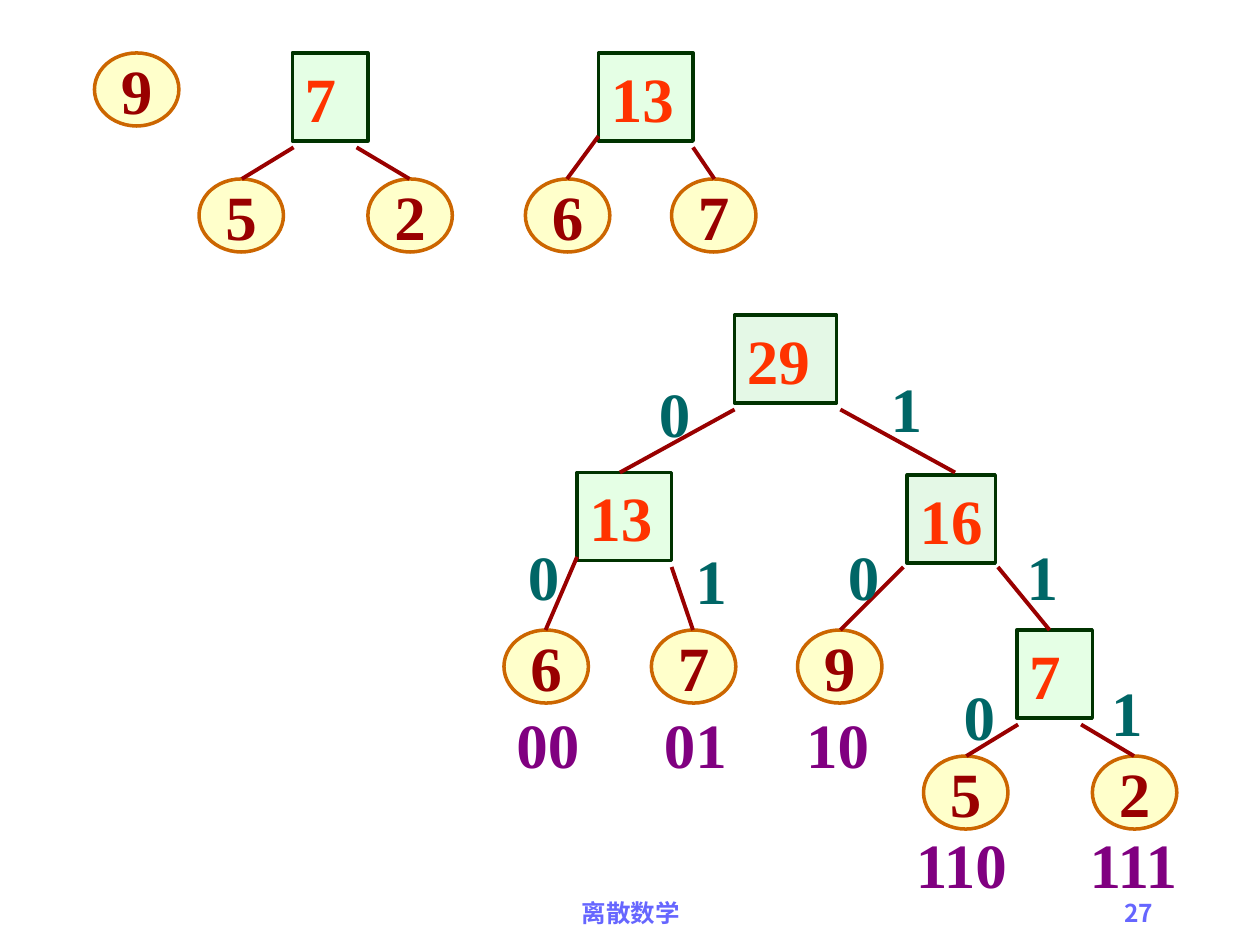
from dataclasses import dataclass

from lxml.etree import SubElement
from pptx import Presentation
from pptx.dml.color import RGBColor
from pptx.enum.shapes import MSO_CONNECTOR as Connector, MSO_SHAPE as Preset
from pptx.enum.text import MSO_ANCHOR as Anchor, MSO_AUTO_SIZE as AutoSize, PP_ALIGN as Align
from pptx.oxml.ns import qn
from pptx.shapes.base import BaseShape
from pptx.slide import Slide
from pptx.util import Inches, Pt


@dataclass(frozen=True)
class Theme:
    font: str = "Times New Roman"
    number_font: str = "Noto Sans CJK SC"
    leaf_fill: str = "FFFF99"
    leaf_line: str = "CC6600"
    dark_red: str = "990000"
    sum_fill: str = "CCFFCC"
    merged_fill: str = "CAF2CE"
    sum_line: str = "003300"
    sum_text: str = "FF3300"
    bit: str = "006666"
    code: str = "800080"
    footer: str = "6666FF"
    tree_size: int = 36
    footer_size: int = 14
    outline: float = 2
    edge: float = 2.25


@dataclass(frozen=True)
class Leaf:
    text: str
    left: float
    top: float


@dataclass(frozen=True)
class Sum:
    text: str
    left: float
    top: float
    width: float
    fill: str
    wrap: bool = True


@dataclass(frozen=True)
class Edge:
    x1: float
    y1: float
    x2: float
    y2: float


@dataclass(frozen=True)
class Label:
    text: str
    left: float
    top: float
    width: float
    color: str


@dataclass(frozen=True)
class Footer:
    text: str
    left: float
    width: float
    align: Align
    font: str


THEME = Theme()
LEAF_WIDTH, LEAF_HEIGHT, BOX_HEIGHT = 0.67, 0.58, 0.7
BIT_WIDTH = 0.45

LEAVES = [
    Leaf("9", 0.75, 0.42), Leaf("6", 4.17, 1.42), Leaf("7", 5.33, 1.42),
    Leaf("6", 4, 5), Leaf("7", 5.17, 5), Leaf("9", 6.33, 5),
]
SUMS = [
    Sum("13", 4.75, 0.42, 0.75, THEME.sum_fill),
    Sum("13", 4.58, 3.75, 0.75, THEME.sum_fill),
    Sum("16", 7.2, 3.77, 0.7, THEME.merged_fill, wrap=False),
    Sum("29", 5.83, 2.5, 0.81, THEME.merged_fill),
]
EDGES = [
    Edge(4.75, 1.08, 4.5, 1.42), Edge(5.5, 1.17, 5.67, 1.42),
    Edge(7.17, 4.5, 6.67, 5), Edge(7.92, 4.5, 8.33, 5),
    Edge(4.58, 4.42, 4.33, 5), Edge(5.33, 4.5, 5.5, 5),
    Edge(5.83, 3.25, 4.92, 3.75), Edge(6.67, 3.25, 7.58, 3.75),
]
BITS = [
    ("0", 5.13, 2.92), ("0", 4.09, 4.22), ("0", 6.63, 4.22), ("0", 7.55, 5.33),
    ("1", 6.97, 2.88), ("1", 5.42, 4.25), ("1", 8.05, 4.22), ("1", 8.72, 5.3),
]
CODES = [
    ("00", 4, 5.55, 0.7), ("01", 5.17, 5.55, 0.7), ("10", 6.3, 5.55, 0.7),
    ("110", 7.17, 6.5, 0.95), ("111", 8.55, 6.5, 0.95),
]
LABELS = [Label(text, left, top, BIT_WIDTH, THEME.bit) for text, left, top in BITS]
LABELS += [Label(*code, THEME.code) for code in CODES]
FOOTERS = [
    Footer("离散数学", 3.42, 3.17, Align.CENTER, THEME.font),
    Footer("27", 7.17, 2.08, Align.RIGHT, THEME.number_font),
]


def write(box: BaseShape, text: str, color: str, size: int = THEME.tree_size,
          font: str = THEME.font, align: Align = Align.LEFT, wrap: bool = False) -> None:
    """Put one bold run of text in a box."""
    box.text_frame.word_wrap = wrap
    para = box.text_frame.paragraphs[0]
    para.alignment = align
    span = para.add_run()
    span.text = text
    span.font.name = font
    span.font.size = Pt(size)
    span.font.bold = True
    span.font.color.rgb = RGBColor.from_string(color)


def draw_shape(page: Slide, preset: Preset, left: float, top: float, width: float,
               height: float, fill: str, line: str) -> BaseShape:
    """Add an outlined shape with a half-transparent fill."""
    shape = page.shapes.add_shape(preset, Inches(left), Inches(top), Inches(width), Inches(height))
    shape.shadow.inherit = False
    shape.fill.solid()
    shape.fill.fore_color.rgb = RGBColor.from_string(fill)
    tint = next(shape.fill._xPr.iter(qn("a:srgbClr")))
    SubElement(tint, qn("a:alpha"), val="50000")
    shape.line.color.rgb = RGBColor.from_string(line)
    shape.line.width = Pt(THEME.outline)
    return shape


def draw_leaf(page: Slide, leaf: Leaf) -> None:
    """Draw a leaf as an ellipse holding its weight."""
    shape = draw_shape(page, Preset.OVAL, leaf.left, leaf.top, LEAF_WIDTH, LEAF_HEIGHT,
                       THEME.leaf_fill, THEME.leaf_line)
    shape.text_frame.vertical_anchor = Anchor.MIDDLE
    write(shape, leaf.text, THEME.dark_red, align=Align.CENTER)


def draw_sum(page: Slide, node: Sum) -> None:
    """Draw an inner node as a box holding the sum of its children."""
    shape = draw_shape(page, Preset.RECTANGLE, node.left, node.top, node.width, BOX_HEIGHT,
                       node.fill, THEME.sum_line)
    shape.text_frame.vertical_anchor = Anchor.TOP
    shape.text_frame.auto_size = AutoSize.SHAPE_TO_FIT_TEXT
    write(shape, node.text, THEME.sum_text, wrap=node.wrap)


def draw_edge(page: Slide, edge: Edge) -> None:
    """Draw a branch from a parent to a child."""
    line = page.shapes.add_connector(Connector.STRAIGHT, Inches(edge.x1), Inches(edge.y1),
                                     Inches(edge.x2), Inches(edge.y2))
    line.line.color.rgb = RGBColor.from_string(THEME.dark_red)
    line.line.width = Pt(THEME.edge)
    SubElement(line._element.spPr, qn("a:effectLst"))


def draw_label(page: Slide, label: Label) -> None:
    """Write a branch bit or a code word."""
    box = page.shapes.add_textbox(Inches(label.left), Inches(label.top),
                                  Inches(label.width), Inches(BOX_HEIGHT))
    box.text_frame.auto_size = AutoSize.SHAPE_TO_FIT_TEXT
    write(box, label.text, label.color)


def draw_footer(page: Slide, footer: Footer) -> None:
    """Write one footer entry."""
    box = page.shapes.add_textbox(Inches(footer.left), Inches(7.08), Inches(footer.width), Inches(0.5))
    write(box, footer.text, THEME.footer, THEME.footer_size, footer.font, footer.align, wrap=True)


def draw_seven(page: Slide, left: float, top: float) -> None:
    """Draw the tree that joins 5 and 2, from its top left corner."""
    draw_leaf(page, Leaf("5", left, top + 1))
    draw_leaf(page, Leaf("2", left + 1.34, top + 1))
    draw_edge(page, Edge(left + 0.75, top + 0.75, left + 0.34, top + 1))
    draw_edge(page, Edge(left + 1.25, top + 0.75, left + 1.67, top + 1))
    draw_sum(page, Sum("7", left + 0.74, top, 0.6, THEME.sum_fill))


def main() -> None:
    """Build the slide and save it."""
    deck = Presentation()
    deck.slide_width, deck.slide_height = Inches(10), Inches(7.5)
    page = deck.slides.add_slide(deck.slide_layouts[6])
    draw_seven(page, 1.58, 0.42)
    draw_seven(page, 7.33, 5)
    groups = [(draw_leaf, LEAVES), (draw_sum, SUMS), (draw_edge, EDGES),
              (draw_label, LABELS), (draw_footer, FOOTERS)]
    for draw, items in groups:
        for item in items:
            draw(page, item)
    deck.save("out.pptx")


if __name__ == "__main__":
    main()
